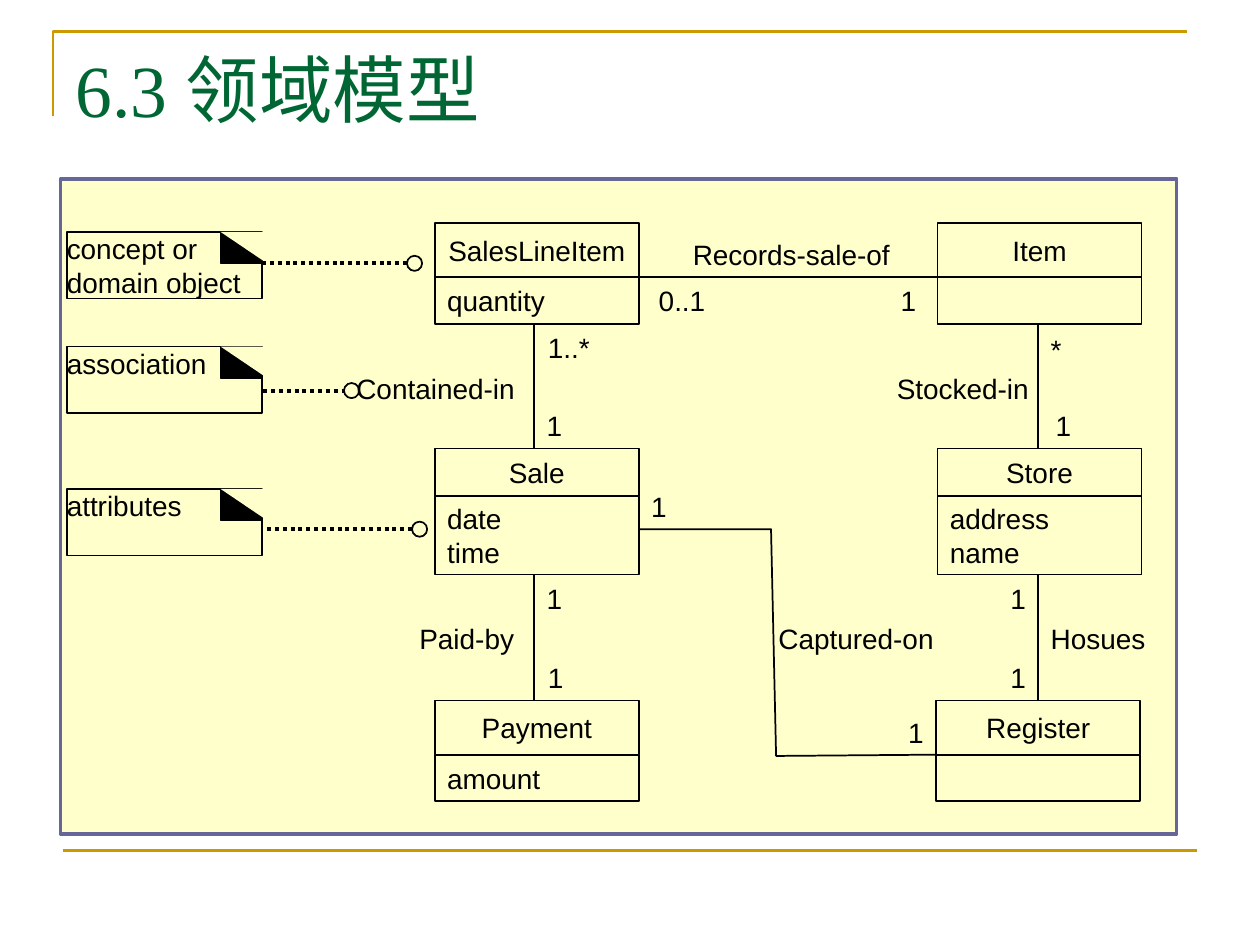
"""Build the domain model slide: a class diagram with explanatory notes."""
from lxml import etree
from pptx import Presentation
from pptx.dml.color import RGBColor
from pptx.enum.dml import MSO_LINE
from pptx.enum.shapes import MSO_CONNECTOR, MSO_SHAPE
from pptx.enum.text import MSO_ANCHOR, MSO_AUTO_SIZE, PP_ALIGN
from pptx.oxml.ns import qn
from pptx.util import Inches, Pt

RECT, OVAL, CORNER = MSO_SHAPE.RECTANGLE, MSO_SHAPE.OVAL, MSO_SHAPE.RIGHT_TRIANGLE
STRAIGHT, DOTTED = MSO_CONNECTOR.STRAIGHT, MSO_LINE.ROUND_DOT
TOP, MIDDLE = MSO_ANCHOR.TOP, MSO_ANCHOR.MIDDLE
LEFT, CENTER = PP_ALIGN.LEFT, PP_ALIGN.CENTER
NO_FIT = MSO_AUTO_SIZE.NONE

COLORS = {"gold": "CC9900", "green": "006633", "panel": "FFFFCC",
          "border": "666699", "ink": "000000"}
CLASS_WIDTH = 1.62
LABEL_HEIGHT = 0.37

CLASSES = [
    ("SalesLineItem", ["quantity"], 3.45, 1.77, 0.43, 0.37),
    ("Item", [], 7.44, 1.77, 0.43, 0.37),
    ("Sale", ["date", "time"], 3.45, 3.56, 0.38, 0.62),
    ("Store", ["address", "name"], 7.44, 3.56, 0.38, 0.62),
    ("Payment", ["amount"], 3.45, 5.56, 0.43, 0.37),
    ("Register", [], 7.43, 5.56, 0.43, 0.37),
]
ASSOCIATIONS = [
    (5.07, 2.2, 7.44, 2.2),
    (4.24, 2.57, 4.24, 3.56), (4.24, 4.56, 4.24, 5.56),
    (8.24, 2.57, 8.24, 3.56), (8.24, 4.56, 8.24, 5.56),
]
CAPTURED_ON = [(5.07, 4.2), (6.12, 4.2), (6.16, 6), (7.43, 5.99)]
LABELS = [
    ("Contained-in", 2.73, 2.9, 1.45), ("Stocked-in", 7.02, 2.9, 1.24),
    ("Records-sale-of", 5.4, 1.83, 1.76), ("Paid-by", 3.23, 4.88, 0.95),
    ("Hosues", 8.24, 4.88, 0.95), ("Captured-on", 6.08, 4.88, 1.43),
    ("1..*", 4.25, 2.57, 0.53), ("1", 4.24, 3.19, 0.32),
    ("0..1", 5.13, 2.2, 0.57), ("1", 7.05, 2.2, 0.32),
    ("1", 5.07, 3.83, 0.32), ("1", 7.11, 5.63, 0.32),
    ("*", 8.24, 2.59, 0.28), ("1", 8.28, 3.19, 0.32),
    ("1", 4.24, 4.56, 0.32), ("1", 4.25, 5.19, 0.32),
    ("1", 7.92, 4.56, 0.32), ("1", 7.92, 5.19, 0.32),
]
NOTES = [
    (["concept or", "domain object"], 1.84, (2.08, 3.23, 2.09)),
    (["association"], 2.75, (2.09, 2.73, 3.1)),
    (["attributes"], 3.88, (2.12, 3.27, 4.2)),
]


def rgb(name):
    """Return the named palette colour."""
    return RGBColor.from_string(COLORS[name])


def write(frame, lines, align=LEFT, anchor=MIDDLE, wrap=True):
    """Put diagram text into a text frame, one paragraph per line."""
    frame.text = "\n".join(lines)
    frame.word_wrap = wrap
    frame.vertical_anchor = anchor
    for paragraph in frame.paragraphs:
        paragraph.alignment = align
        paragraph.font.name = "Arial"
        paragraph.font.size = Pt(16)
        paragraph.font.color.rgb = rgb("ink")


def add_box(slide, kind, box, fill=None, line="ink", width=1):
    """Add a preset shape with an optional fill and outline."""
    shape = slide.shapes.add_shape(kind, *map(Inches, box))
    shape.shadow.inherit = False
    if fill:
        shape.fill.solid()
        shape.fill.fore_color.rgb = rgb(fill)
    else:
        shape.fill.background()
    if line:
        shape.line.color.rgb = rgb(line)
        shape.line.width = Pt(width)
    else:
        shape.line.fill.background()
    return shape


def add_line(slide, ends, color="ink", width=1.0, dash=None):
    """Add a straight connector without shadow."""
    connector = slide.shapes.add_connector(STRAIGHT, *map(Inches, ends))
    connector.line.color.rgb = rgb(color)
    connector.line.width = Pt(width)
    if dash:
        connector.line.dash_style = dash
    etree.SubElement(connector._element.spPr, qn("a:effectLst"))


def add_path(slide, points, color="ink", width=1.0):
    """Add an open, unfilled polyline."""
    corners = [(Inches(x), Inches(y)) for x, y in points]
    builder = slide.shapes.build_freeform(*corners[0])
    builder.add_line_segments(corners[1:], close=False)
    polyline = builder.convert_to_shape()
    polyline.shadow.inherit = False
    polyline.fill.background()
    polyline.line.color.rgb = rgb(color)
    polyline.line.width = Pt(width)


def add_title(slide):
    """Fill and place the title."""
    title = slide.shapes.title
    title.left, title.top, title.width, title.height = map(Inches, (0.5, 0.3, 9, 1.25))
    frame = title.text_frame
    frame.text = "6.3 领域模型"
    frame.vertical_anchor = TOP
    frame.auto_size = NO_FIT
    heading = frame.paragraphs[0]
    heading.alignment = LEFT
    heading.font.name = "Times New Roman"
    heading.font.size = Pt(42)
    heading.font.color.rgb = rgb("green")


def add_class(slide, name, attributes, left, top, name_height, attribute_height):
    """Add a class as a name compartment over an attribute compartment."""
    header = add_box(slide, RECT, (left, top, CLASS_WIDTH, name_height))
    write(header.text_frame, [name], CENTER, wrap=False)
    body = add_box(slide, RECT, (left, top + name_height, CLASS_WIDTH, attribute_height))
    if attributes:
        write(body.text_frame, attributes)


def add_label(slide, text, left, top, width):
    """Add an association name or multiplicity with slack on its right."""
    label = slide.shapes.add_textbox(*map(Inches, (left, top, width, LABEL_HEIGHT)))
    label.text_frame.margin_right = 0
    write(label.text_frame, [text])


def add_note(slide, lines, top, pointer):
    """Add a folded note with a dotted pointer ending in a ring."""
    note = add_box(slide, RECT, (0.53, top, 1.55, 0.53))
    frame = note.text_frame
    frame.margin_left = frame.margin_right = frame.margin_top = frame.margin_bottom = 0
    write(frame, lines, anchor=TOP)
    add_box(slide, RECT, (1.75, top, 0.32, 0.25), fill="ink")
    fold = add_box(slide, CORNER, (1.75, top, 0.37, 0.25), fill="panel", line=None)
    fold.rotation = 180
    start, end, y = pointer
    add_line(slide, (start, y, end, y), width=2.25, dash=DOTTED)
    add_box(slide, OVAL, (end, y - 0.06, 0.12, 0.12))


def main():
    """Build and save the slide."""
    deck = Presentation()
    deck.slide_width, deck.slide_height = Inches(10), Inches(7.5)
    slide = deck.slides.add_slide(deck.slide_layouts[5])
    add_path(slide, [(0.42, 0.92), (0.42, 0.25), (9.42, 0.25)], "gold", 1.5)
    add_line(slide, (0.5, 6.75, 9.5, 6.75), "gold", 1.5)
    add_title(slide)
    add_box(slide, RECT, (0.48, 1.42, 8.86, 5.2), "panel", "border", 2)
    for entry in CLASSES:
        add_class(slide, *entry)
    for ends in ASSOCIATIONS:
        add_line(slide, ends)
    add_path(slide, CAPTURED_ON)
    for label in LABELS:
        add_label(slide, *label)
    for note in NOTES:
        add_note(slide, *note)
    deck.save("out.pptx")


if __name__ == "__main__":
    main()
